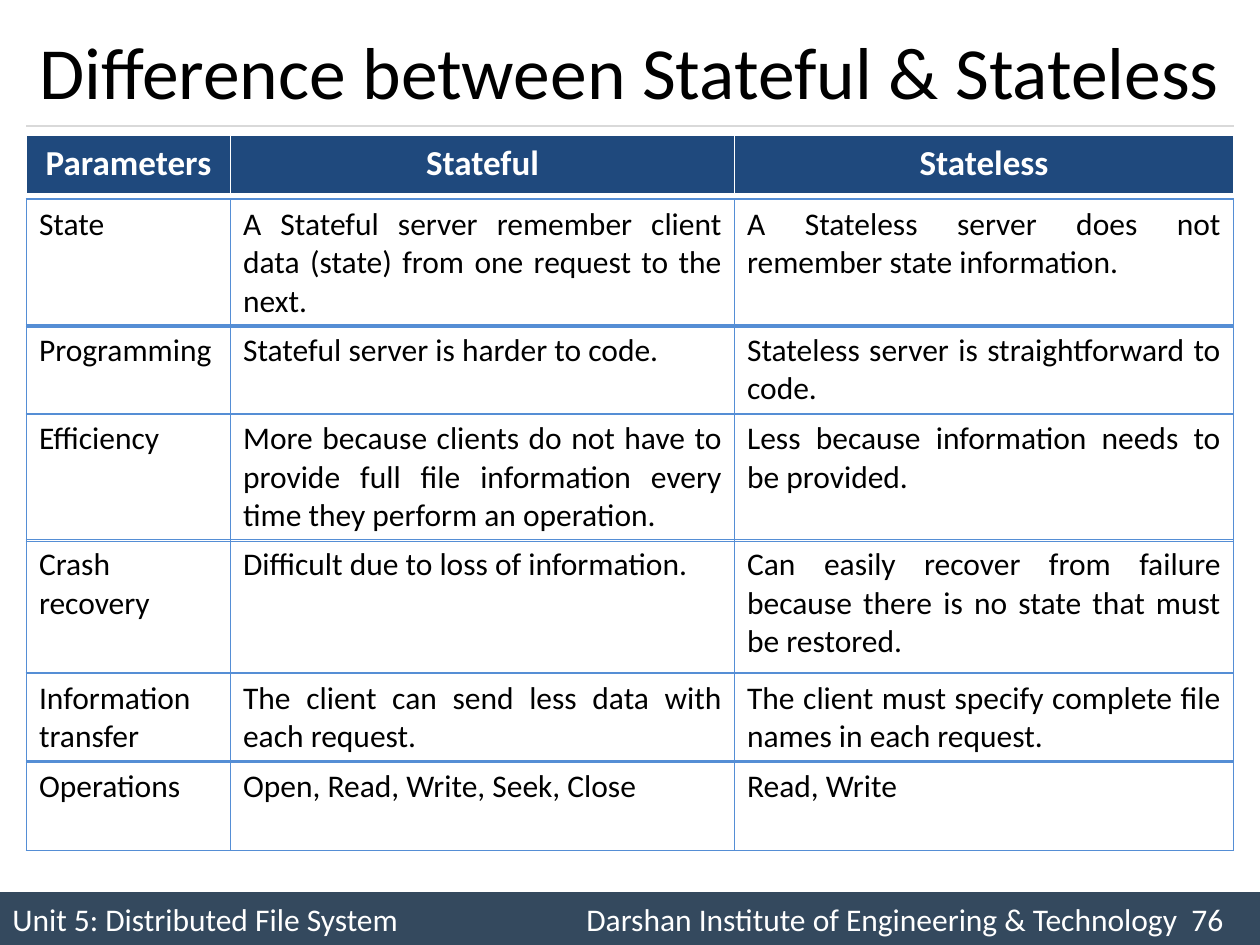
from dataclasses import dataclass

from lxml import etree
from pptx import Presentation
from pptx.dml.color import RGBColor
from pptx.enum import shapes, text
from pptx.oxml import ns
from pptx.util import Pt


@dataclass(frozen=True)
class Theme:
    font: str = "Calibri"
    ink: str = "000000"
    white: str = "FFFFFF"
    header: str = "1F497D"
    border: str = "558ED5"
    bar: str = "34495E"
    rule: str = "D9D9D9"
    title_size: float = 42
    header_size: float = 20
    body_size: float = 18


@dataclass(frozen=True)
class Band:
    """One row of the comparison, drawn as a table of its own."""
    top: float
    height: float
    cells: tuple[str, str, str]
    align: text.PP_ALIGN = text.PP_ALIGN.JUSTIFY
    is_header: bool = False


THEME = Theme()
LEFT, WIDTH = 15.12, 689.76
COLUMNS = (116.64, 288, 285.12)
BODY_TOP = 113.76

HEADER = Band(77.04, 34.56, ("Parameters", "Stateful", "Stateless"),
              text.PP_ALIGN.CENTER, True)
ROWS = (
    (72, ("State",
          "A Stateful server remember client data (state) from one request to the next.",
          "A Stateless server does not remember state information.")),
    (50.4, ("Programming",
            "Stateful server is harder to code.",
            "Stateless server is straightforward to code.")),
    (72, ("Efficiency",
          "More because clients do not have to provide full file information "
          "every time they perform an operation.",
          "Less because information needs to be provided.")),
    (76.32, ("Crash recovery",
             "Difficult due to loss of information.",
             "Can easily recover from failure because there is no state that "
             "must be restored.")),
    (50.4, ("Information transfer",
            "The client can send less data with each request.",
            "The client must specify complete file names in each request.")),
    (51.12, ("Operations", "Open, Read, Write, Seek, Close", "Read, Write")),
)


def style(para, size: float, color: str, bold: bool = False) -> None:
    for span in para.runs:
        span.font.name = THEME.font
        span.font.size = Pt(size)
        span.font.bold = bold
        span.font.color.rgb = RGBColor.from_string(color)


def add_borders(cell, color: str, widths: dict[str, float]) -> None:
    properties = cell._tc.get_or_add_tcPr()
    for index, (side, width) in enumerate(widths.items()):
        line = etree.Element(ns.qn(f"a:ln{side}"), w=str(Pt(width)))
        fill = etree.SubElement(line, ns.qn("a:solidFill"))
        etree.SubElement(fill, ns.qn("a:srgbClr"), val=color)
        properties.insert(index, line)


def add_band(page, band: Band) -> None:
    frame = page.shapes.add_table(1, len(COLUMNS), Pt(LEFT), Pt(band.top),
                                  Pt(WIDTH), Pt(band.height))
    table = frame.table
    table.first_row = table.horz_banding = False
    table.rows[0].height = Pt(band.height)
    for column, width in zip(table.columns, COLUMNS):
        column.width = Pt(width)
    for cell, wording in zip(table.rows[0].cells, band.cells):
        cell.text_frame.text = wording
        para = cell.text_frame.paragraphs[0]
        para.alignment = band.align
        if band.is_header:
            cell.margin_top = cell.margin_bottom = Pt(4.32)
            cell.fill.solid()
            cell.fill.fore_color.rgb = RGBColor.from_string(THEME.header)
            style(para, THEME.header_size, THEME.white, bold=True)
            add_borders(cell, THEME.white, {"L": 1, "R": 1, "T": 1, "B": 3})
        else:
            cell.fill.background()
            style(para, THEME.body_size, THEME.ink)
            add_borders(cell, THEME.border, dict.fromkeys("LRTB", 1))


def add_footer(page) -> None:
    bar = page.shapes.add_shape(shapes.MSO_SHAPE.RECTANGLE,
                                Pt(0), Pt(509.76), Pt(720), Pt(30.24))
    bar.shadow.inherit = False
    bar.fill.solid()
    bar.fill.fore_color.rgb = RGBColor.from_string(THEME.bar)
    bar.line.fill.background()
    frame = bar.text_frame
    frame.vertical_anchor = text.MSO_ANCHOR.MIDDLE
    frame.text = ("Unit 5: Distributed File System\t"
                  "Darshan Institute of Engineering & Technology\t76")
    para = frame.paragraphs[0]
    para.alignment = text.PP_ALIGN.LEFT
    tabs = etree.SubElement(para._p.get_or_add_pPr(), ns.qn("a:tabLst"))
    for position, align in ((328, "l"), (692, "r")):
        etree.SubElement(tabs, ns.qn("a:tab"), pos=str(Pt(position)), algn=align)
    style(para, THEME.body_size, THEME.white)


def add_title_rule(page) -> None:
    rule = page.shapes.add_connector(shapes.MSO_CONNECTOR.STRAIGHT, Pt(LEFT), Pt(72),
                                     Pt(LEFT + WIDTH), Pt(72))
    rule.line.color.rgb = RGBColor.from_string(THEME.rule)
    rule.line.width = Pt(0.75)
    etree.SubElement(rule._element.spPr, ns.qn("a:effectLst"))


def set_title(page, wording: str) -> None:
    box = page.shapes.title
    box.left, box.top, box.width, box.height = Pt(LEFT), Pt(8.64), Pt(WIDTH), Pt(63.36)
    box.text_frame.text = wording
    box.text_frame.vertical_anchor = text.MSO_ANCHOR.MIDDLE
    para = box.text_frame.paragraphs[0]
    para.alignment = text.PP_ALIGN.LEFT
    style(para, THEME.title_size, THEME.ink)


def main() -> None:
    deck = Presentation()
    deck.slide_width, deck.slide_height = Pt(720), Pt(540)
    page = deck.slides.add_slide(deck.slide_layouts[5])

    # Frame of the page
    add_footer(page)
    add_title_rule(page)
    set_title(page, "Difference between Stateful & Stateless")

    # Comparison, stacked from the top
    add_band(page, HEADER)
    top = BODY_TOP
    for height, cells in ROWS:
        add_band(page, Band(top, height, cells))
        top += height

    deck.save("out.pptx")


if __name__ == "__main__":
    main()
